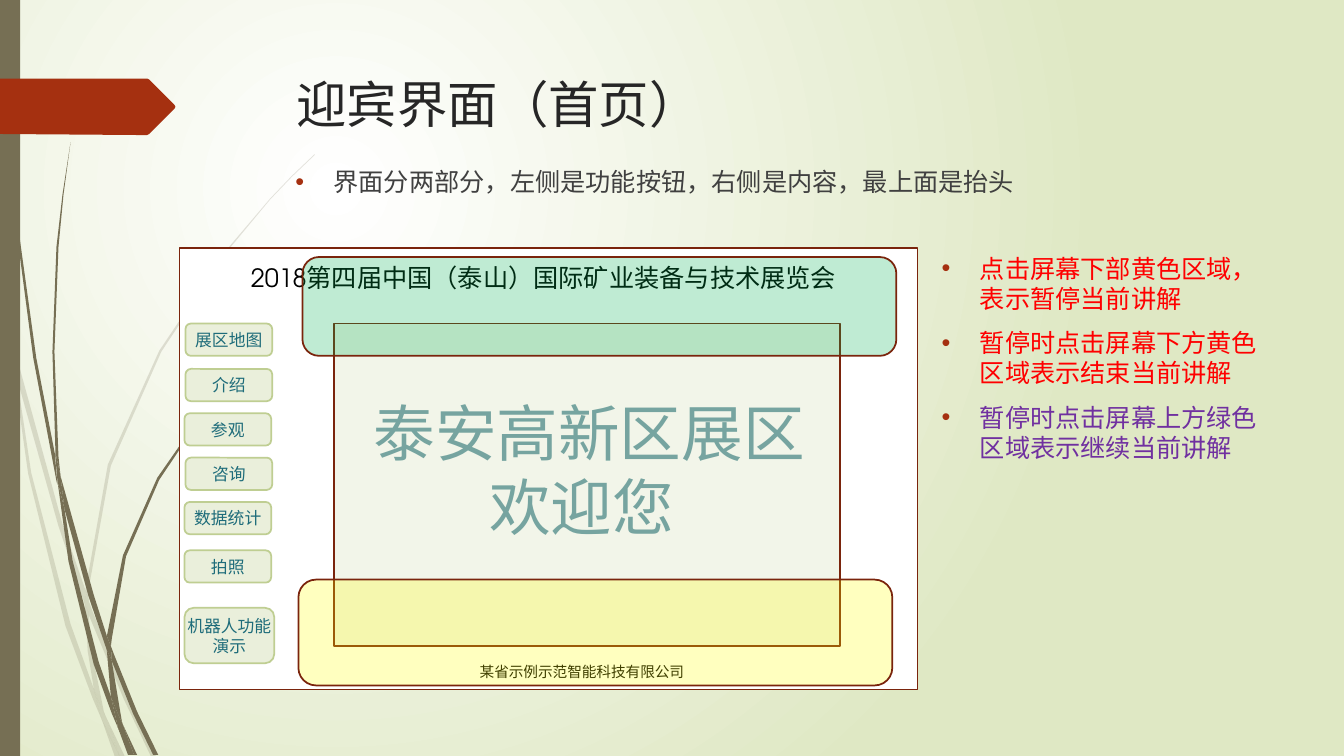
from lxml import etree
from pptx import Presentation
from pptx.dml.color import RGBColor
from pptx.enum.shapes import MSO_SHAPE
from pptx.enum.text import MSO_ANCHOR, PP_ALIGN
from pptx.oxml.ns import qn
from pptx.util import Inches, Pt

RECT, ROUND = MSO_SHAPE.RECTANGLE, MSO_SHAPE.ROUNDED_RECTANGLE
TOP, MIDDLE = MSO_ANCHOR.TOP, MSO_ANCHOR.MIDDLE
LEFT, CENTER = PP_ALIGN.LEFT, PP_ALIGN.CENTER
FONT, CJK_FONT = "TeX Gyre Adventor", "Noto Sans CJK SC"
COLORS = {
    "white": "FFFFFF", "pale": "DFE8C4", "olive": "766F54", "rust": "A53010",
    "title": "262626", "body": "404040", "black": "000000", "teal": "1E6C7A",
    "frame": "7A240C", "button": "EAEFDB", "button_line": "BFCE92",
    "content": "E3EACF", "yellow": "FFFF00", "green": "00B050",
    "red": "FF0000", "purple": "7030A0",
}

FAINT_WISPS = [
    [(.11, 3.5), (.09, 3.22), (0, 2.82), (0, 2.99), (.1, 3.44)],
    [(.58, 5.22), (.84, 5.99), (.85, 5.86), (.62, 5.2), (.14, 3.45), (.17, 3.76)],
    [(.92, 6.07), (.88, 5.96), (.88, 6.1), (1.23, 6.94), (1.5, 7.51), (1.55, 7.51),
     (1.27, 6.92)],
    [(1.19, 7.51), (1.24, 7.51), (1.05, 7.11)],
    [(.93, 6.83), (.7, 6.19), (.31, 4.69), (.17, 3.76), (.11, 3.5), (.28, 4.7),
     (.65, 6.21), (.92, 6.93), (1.01, 7.14), (.99, 7.07)],
    [(.84, 5.99), (.87, 6.46), (.93, 6.83), (.96, 6.92), (1.05, 7.11), (1.03, 7.06),
     (.91, 6.46), (.88, 6.1), (.88, 6.08)],
    [(.88, 5.84), (1.1, 4.62), (1.6, 3.49), (2.29, 2.45), (2.68, 1.98), (2.9, 1.75),
     (3.12, 1.54), (3.12, 1.53), (2.89, 1.75), (2.68, 1.97), (2.28, 2.44),
     (1.58, 3.48), (1.07, 4.61), (.85, 5.84), (.85, 5.86), (.88, 5.96)],
    [(1.01, 7.14), (1.14, 7.51), (1.19, 7.51)],
    [(.88, 6.08), (.88, 6.1), (.88, 5.96), (.85, 5.86), (.84, 5.99)],
    [(.96, 6.92), (.93, 6.83), (.99, 7.07), (1.01, 7.14), (1.19, 7.51), (1.05, 7.11)],
]
DARK_WISPS = [
    [(.07, 1.1), (.17, 2.33), (.33, 3.55), (.56, 4.77), (.57, 4.81), (.55, 4.57),
     (.55, 4.53), (.36, 3.55), (.19, 2.32), (.08, 1.09), (.05, .48), (.04, 0),
     (.03, 0), (.04, .48)],
    [(.88, 5.92), (1.06, 6.45), (1.06, 6.31), (.93, 5.9), (.6, 4.72), (.64, 5.05)],
    [(1.13, 6.49), (1.1, 6.41), (1.11, 6.56), (1.32, 7.08), (1.52, 7.49), (1.57, 7.49),
     (1.36, 7.06)],
    [(1.1, 6.91), (.98, 6.57), (.72, 5.56), (.64, 5.05), (.57, 4.77), (.68, 5.57),
     (.93, 6.59), (1.11, 7.08), (1.17, 7.22), (1.16, 7.17)],
    [(.6, 4.72), (.58, 4.53), (.54, 3.49), (.58, 2.45), (.63, 1.93), (.7, 1.41),
     (.62, 1.93), (.56, 2.45), (.52, 3.49), (.55, 4.49)],
    [(1.33, 7.49), (1.36, 7.49), (1.22, 7.19)],
    [(.57, 4.77), (.64, 5.05), (.6, 4.72), (.55, 4.49), (.55, 4.53)],
    [(1.11, 6.33), (1.25, 5.52), (1.58, 4.76), (2.05, 4.06), (2.31, 3.74),
     (2.45, 3.59), (2.61, 3.44), (2.6, 3.44), (2.45, 3.58), (2.31, 3.73),
     (2.04, 4.05), (1.56, 4.74), (1.22, 5.51), (1.06, 6.31), (1.1, 6.41)],
    [(1.17, 7.22), (1.27, 7.49), (1.31, 7.49)],
    [(1.06, 6.45), (1.1, 6.91), (1.16, 7.06), (1.22, 7.19), (1.21, 7.16),
     (1.11, 6.56), (1.09, 6.51)],
    [(1.06, 6.45), (1.09, 6.51), (1.11, 6.56), (1.1, 6.41), (1.06, 6.31)],
    [(1.16, 7.06), (1.1, 6.91), (1.16, 7.17), (1.17, 7.22), (1.3, 7.49),
     (1.33, 7.49), (1.22, 7.19)],
]
ARROW = [(1.73, 1.08), (1.48, 1.33), (1.46, 1.34), (1.36, 1.34), (0, 1.33), (0, .78),
         (1.46, .78), (1.48, .79), (1.73, 1.04), (1.74, 1.06)]
BUTTONS = [
    ("展区地图", 1.84, 3.21), ("介绍", 1.84, 3.66), ("参观", 1.83, 4.1),
    ("咨询", 1.84, 4.54), ("数据统计", 1.83, 4.98), ("拍照", 1.83, 5.46),
]


def rgb(name):
    """Return the named colour."""
    return RGBColor.from_string(COLORS[name])


def write(tf, text, size=18, color="black", font=FONT, align=LEFT, anchor=TOP,
          wrap=True, inset=None, indent=0, bullet=False, first=True):
    """Write one formatted paragraph into a text frame."""
    tf.word_wrap, tf.vertical_anchor = wrap, anchor
    if inset is not None:
        tf.margin_left = tf.margin_right = tf.margin_top = tf.margin_bottom = Inches(inset)
    p = tf.paragraphs[0] if first else tf.add_paragraph()
    p.alignment = align
    pPr = p._p.get_or_add_pPr()
    if indent:
        pPr.set("marL", str(Inches(indent)))
    if bullet:
        p.space_before = Pt(10)
        pPr.set("indent", str(-Inches(indent)))
        bu_color = etree.SubElement(pPr, qn("a:buClr"))
        etree.SubElement(bu_color, qn("a:srgbClr"), val=COLORS["rust"])
        etree.SubElement(pPr, qn("a:buFont"), typeface="Arial")
        etree.SubElement(pPr, qn("a:buChar"), char="•")
    r = p.add_run()
    r.text = text
    r.font.size, r.font.name, r.font.color.rgb = Pt(size), font, rgb(color)
    etree.SubElement(r._r.get_or_add_rPr(), qn("a:ea"), typeface=FONT)


class Deck:
    """Hold the presentation, its style and the current slide."""

    def __init__(self):
        """Start a widescreen presentation with one slide."""
        self.prs = Presentation()
        self.prs.slide_width, self.prs.slide_height = Inches(13.33), Inches(7.5)
        self.s = self.prs.slides.add_slide(self.prs.slide_layouts[5])

    def background(self, inner, outer):
        """Fill the slide with a circular gradient."""
        fill = self.s.background.fill
        fill.gradient()
        for stop, name in zip(fill.gradient_stops, (inner, outer)):
            stop.color.rgb = rgb(name)
        lin = self.s.element.find(".//" + qn("a:lin"))
        circle = etree.Element(qn("a:path"), path="circle")
        etree.SubElement(circle, qn("a:fillToRect"), l="50000", t="50000",
                         r="100000", b="100000")
        lin.getparent().replace(lin, circle)

    def paint(self, sp, fill, line=None, alpha=100):
        """Set fill, opacity and outline of a shape."""
        sp.shadow.inherit = False
        sp.fill.solid()
        sp.fill.fore_color.rgb = rgb(fill)
        if alpha < 100:
            clr = sp.element.spPr.find(qn("a:solidFill") + "/" + qn("a:srgbClr"))
            etree.SubElement(clr, qn("a:alpha"), val=str(alpha * 1000))
        if line:
            sp.line.color.rgb, sp.line.width = rgb(line), Pt(1.25)
        else:
            sp.line.fill.background()

    def outline(self, points, fill, alpha=100):
        """Draw a closed outline through points."""
        pts = [(Inches(x), Inches(y)) for x, y in points]
        builder = self.s.shapes.build_freeform(*pts[0])
        builder.add_line_segments(pts[1:])
        self.paint(builder.convert_to_shape(), fill, alpha=alpha)

    def shape(self, kind, box, fill, line=None, alpha=100):
        """Draw a preset shape and return its text frame."""
        sp = self.s.shapes.add_shape(kind, *map(Inches, box))
        self.paint(sp, fill, line, alpha)
        return sp.text_frame

    def button(self, text, x, y, w=.86, h=.32):
        """Draw a function button."""
        tf = self.shape(ROUND, (x, y, w, h), "button", "button_line")
        write(tf, text, size=12, color="teal", align=CENTER, anchor=MIDDLE, inset=0)

    def title(self, text, box):
        """Place and fill the title in front of the decoration."""
        sp = self.s.shapes.title
        sp.left, sp.top, sp.width, sp.height = map(Inches, box)
        sp.element.getparent().append(sp.element)
        write(sp.text_frame, text, size=36, color="title")

    def text(self, box):
        """Add a text box and return its text frame."""
        return self.s.shapes.add_textbox(*map(Inches, box)).text_frame

    def bullets(self, box, items):
        """Add a bulleted list of text and colour pairs."""
        tf = self.text(box)
        for i, (text, color) in enumerate(items):
            write(tf, text, color=color, indent=.38, bullet=True, first=i == 0)


def main():
    """Build and save the slide."""
    deck = Deck()
    deck.background("white", "pale")
    for wisps, alpha in ((FAINT_WISPS, 20), (DARK_WISPS, 100)):
        for wisp in wisps:
            deck.outline(wisp, "olive", alpha)
    deck.shape(RECT, (0, 0, .2, 7.5), "olive")
    deck.outline(ARROW, "rust")
    deck.title("迎宾界面（首页）", (2.84, .68, 9.75, 1.4))
    deck.bullets((2.83, 1.6, 9.75, 4.86),
                 [("界面分两部分，左侧是功能按钮，右侧是内容，最上面是抬头", "body")])

    screen = deck.shape(RECT, (1.78, 2.46, 7.32, 4.38), "white", "frame")
    for i, (text, indent) in enumerate((("泰安高新区展区", .81), ("欢迎您", .66))):
        write(screen, text, size=44, color="teal", font=CJK_FONT, align=CENTER,
              anchor=MIDDLE, indent=indent, first=i == 0)
    for text, x, y in BUTTONS:
        deck.button(text, x, y)
    write(deck.text((2.39, 2.55, 6.06, .4)),
          "2018第四届中国（泰山）国际矿业装备与技术展览会", wrap=False)
    write(deck.text((4.66, 6.53, 2.26, .28)), "某省示例示范智能科技有限公司",
          size=10.5, wrap=False)
    deck.shape(RECT, (3.31, 3.21, 5.02, 3.2), "content", "frame", 45)
    deck.button("机器人功能演示", 1.83, 6.03, .89, .55)
    deck.shape(ROUND, (2.96, 5.75, 5.89, 1.05), "yellow", "frame", 25)
    deck.bullets((9.24, 2.46, 3.48, 4.86), [
        ("点击屏幕下部黄色区域，表示暂停当前讲解", "red"),
        ("暂停时点击屏幕下方黄色区域表示结束当前讲解", "red"),
        ("暂停时点击屏幕上方绿色区域表示继续当前讲解", "purple"),
    ])
    deck.shape(ROUND, (3, 2.55, 5.89, .98), "green", "frame", 25)
    deck.prs.save("out.pptx")


if __name__ == "__main__":
    main()
